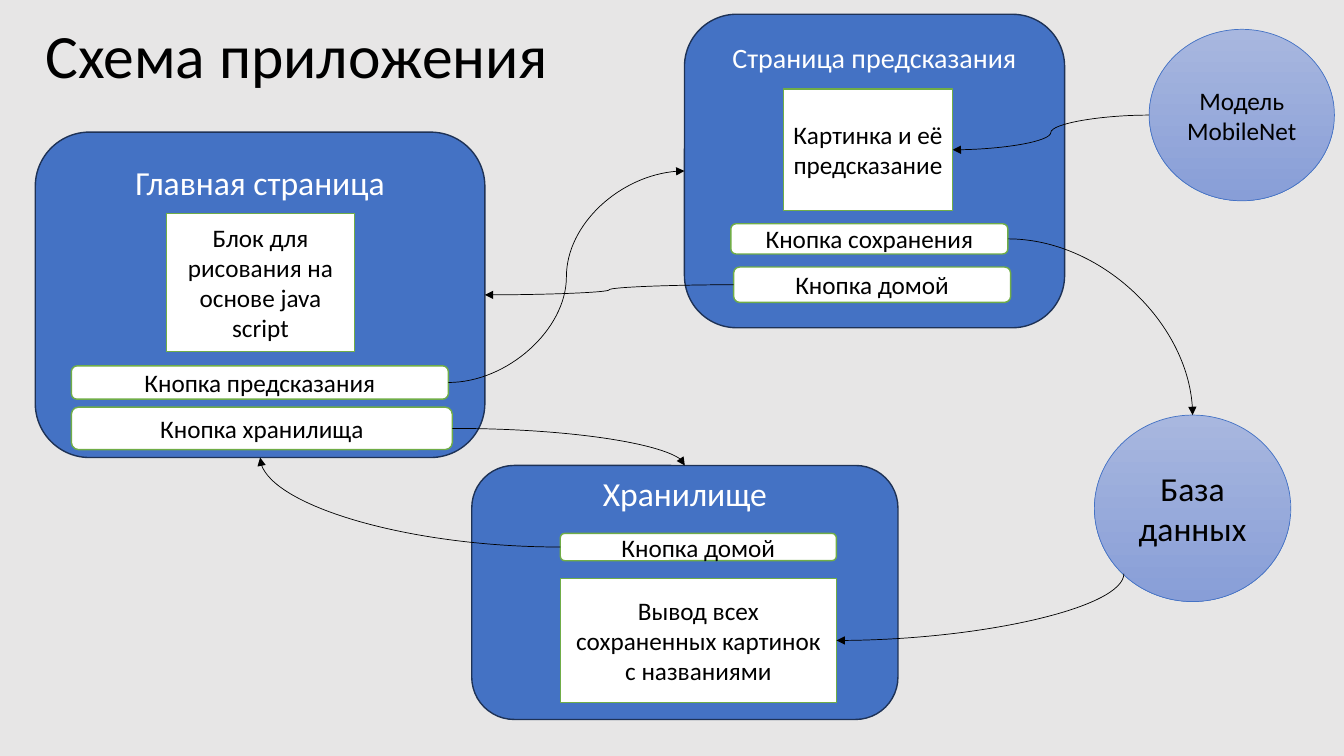
"""Build the application diagram slide: three pages, a database and a model."""
from lxml import etree
from pptx import Presentation
from pptx.dml.color import RGBColor
from pptx.enum.shapes import MSO_CONNECTOR, MSO_SHAPE
from pptx.enum.text import MSO_ANCHOR, PP_ALIGN
from pptx.oxml.ns import qn
from pptx.util import Cm, Pt

ROUNDED, RECT, OVAL = MSO_SHAPE.ROUNDED_RECTANGLE, MSO_SHAPE.RECTANGLE, MSO_SHAPE.OVAL
CURVE = MSO_CONNECTOR.CURVE
LEFT, CENTER = PP_ALIGN.LEFT, PP_ALIGN.CENTER
TOP, MIDDLE = MSO_ANCHOR.TOP, MSO_ANCHOR.MIDDLE

FONT = "Calibri"
TITLE = "Схема приложения"
TITLE_BOX = (0.89, 0.41, 29.21, 2.13)

# key: text, box in cm, font size, top margin in cm
PAGES = {
    "main": ("Главная страница", (0.89, 3.33, 11.33, 8.2), 24, 0.46),
    "storage": ("Хранилище", (11.89, 11.73, 10.74, 6.4), 24, 0),
    "prediction": ("Страница предсказания", (17.25, 0.36, 9.58, 7.9), 20, 0.38),
}
BLOCKS = {
    "drawing": ("Блок для рисования на основе java script", (4.19, 5.38, 4.75, 3.48)),
    "gallery": ("Вывод всех сохраненных картинок с названиями", (14.12, 14.58, 6.96, 3.12)),
    "result": ("Картинка и её предсказание", (19.74, 2.24, 4.27, 3.07)),
}
BUTTONS = {
    "predict": ("Кнопка предсказания", (1.8, 9.22, 9.5, 0.84)),
    "open storage": ("Кнопка хранилища", (1.8, 10.26, 9.6, 1.07)),
    "storage home": ("Кнопка домой", (14.12, 13.44, 6.96, 0.69)),
    "save": ("Кнопка сохранения", (18.42, 5.64, 6.98, 0.76)),
    "prediction home": ("Кнопка домой", (18.49, 6.73, 6.98, 0.89)),
}
SERVICES = {
    "database": ("База данных", (27.58, 10.46, 4.95, 4.7), 24),
    "model": ("Модель\nMobileNet", (28.96, 0.74, 4.67, 4.32), 18),
}
# start, its site, end, its site, geometry, end that carries the arrowhead
ARROWS = [
    ("predict", "right", "prediction", "left", "curvedConnector3", "tailEnd"),
    ("open storage", "right", "storage", "top", "curvedConnector2", "tailEnd"),
    ("storage home", "left", "main", "bottom", "curvedConnector2", "tailEnd"),
    ("gallery", "right", "database", "lower left", "curvedConnector2", "headEnd"),
    ("save", "right", "database", "top", "curvedConnector2", "tailEnd"),
    ("prediction home", "left", "main", "right", "curvedConnector3", "tailEnd"),
    ("model", "oval left", "result", "right", "curvedConnector3", "tailEnd"),
]
# site: index, share of width, share of height
SITES = {
    "top": (0, 0.5, 0),
    "left": (1, 0, 0.5),
    "bottom": (2, 0.5, 1),
    "right": (3, 1, 0.5),
    "oval left": (2, 0, 0.5),
    "lower left": (3, 0.15, 0.85),
}


def color(value):
    return RGBColor.from_string(value)


def write(shape, text, size, text_color, align=CENTER, anchor=MIDDLE, spacing=1.0):
    frame = shape.text_frame
    frame.word_wrap = True
    frame.vertical_anchor = anchor
    frame.text = text
    for paragraph in frame.paragraphs:
        paragraph.alignment = align
        paragraph.line_spacing = spacing
        paragraph.font.name = FONT
        paragraph.font.size = Pt(size)
        paragraph.font.color.rgb = color(text_color)


def add_box(slide, kind, box, fills, line, line_width=1):
    shape = slide.shapes.add_shape(kind, *map(Cm, box))
    shape.shadow.inherit = False
    if len(fills) == 1:
        shape.fill.solid()
        shape.fill.fore_color.rgb = color(fills[0])
    else:
        shape.fill.gradient()
        shape.fill.gradient_angle = 270
        for stop, value in zip(shape.fill.gradient_stops, fills):
            stop.color.rgb = color(value)
    shape.line.color.rgb = color(line)
    shape.line.width = Pt(line_width)
    return shape


def site_point(shape, site):
    _, across, down = SITES[site]
    return (round(shape.left + shape.width * across),
            round(shape.top + shape.height * down))


def add_arrow(slide, start, start_site, end, end_site, geometry, arrow_end):
    arrow = slide.shapes.add_connector(CURVE, 0, 0, 0, 0)
    arrow.begin_connect(start, SITES[start_site][0])
    arrow.end_connect(end, SITES[end_site][0])
    arrow.begin_x, arrow.begin_y = site_point(start, start_site)
    arrow.end_x, arrow.end_y = site_point(end, end_site)
    arrow.line.color.rgb = color("000000")
    arrow.line.width = Pt(0.5)
    properties = arrow.element.spPr
    properties.find(qn("a:prstGeom")).set("prst", geometry)
    etree.SubElement(properties.find(qn("a:ln")), qn(f"a:{arrow_end}"), type="triangle")
    etree.SubElement(properties, qn("a:effectLst"))


def main():
    deck = Presentation()
    deck.slide_width, deck.slide_height = Cm(33.87), Cm(19.05)
    slide = deck.slides.add_slide(deck.slide_layouts[5])
    slide.background.fill.solid()
    slide.background.fill.fore_color.rgb = color("E7E6E6")

    title = slide.shapes.title
    title.left, title.top, title.width, title.height = map(Cm, TITLE_BOX)
    write(title, TITLE, 44, "000000", align=LEFT, spacing=0.9)

    parts = {}
    for key, (text, box, size, margin) in PAGES.items():
        parts[key] = add_box(slide, ROUNDED, box, ["4472C4"], "1E3256")
        write(parts[key], text, size, "FFFFFF", anchor=TOP, spacing=0.9)
        parts[key].text_frame.margin_top = Cm(margin)
    for kind, group in ((RECT, BLOCKS), (ROUNDED, BUTTONS)):
        for key, (text, box) in group.items():
            parts[key] = add_box(slide, kind, box, ["FFFFFF"], "70AD47")
            write(parts[key], text, 18, "000000")
    for key, (text, box, size) in SERVICES.items():
        parts[key] = add_box(slide, OVAL, box, ["A8B7DF", "889ED7"], "4472C4", 0.5)
        write(parts[key], text, size, "000000")

    for start, start_site, end, end_site, geometry, arrow_end in ARROWS:
        add_arrow(slide, parts[start], start_site, parts[end], end_site, geometry, arrow_end)

    deck.save("out.pptx")


if __name__ == "__main__":
    main()
